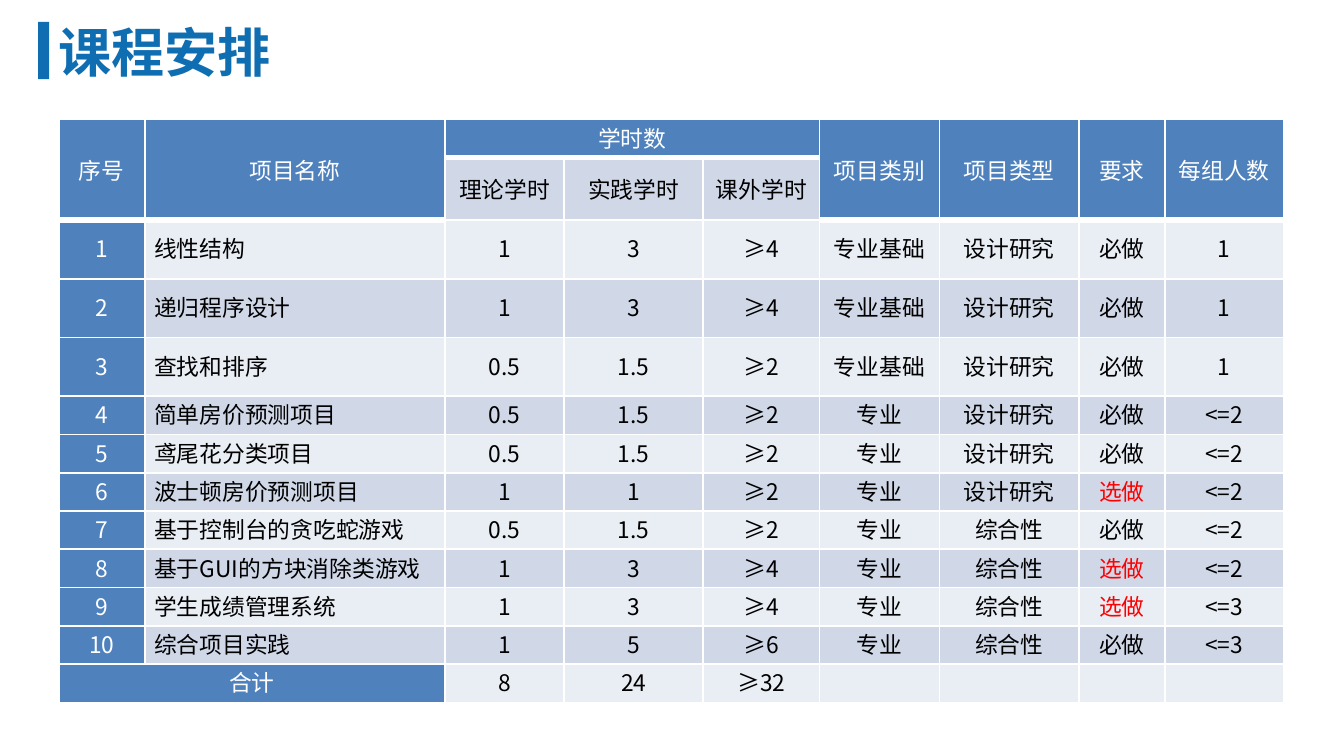
from typing import NamedTuple

import pptx
import pptx.dml.color
import pptx.enum.shapes
import pptx.enum.text
import pptx.oxml
import pptx.oxml.ns
import pptx.util
from pptx.util import Inches

FONT = "Noto Sans CJK SC"
COLORS = {
    "title": "0F6EB2",
    "header": "4F81BD",
    "dark_band": "D0D8E8",
    "light_band": "E9EDF4",
    "white": "FFFFFF",
    "black": "000000",
    "optional": "FF0000",
}
COLUMN_WIDTHS = [0.63, 2.2, 0.87, 1.02, 0.85, 0.88, 1.02, 0.63, 0.87]
ROW_HEIGHTS = [0.28, 0.46] + [0.43] * 3 + [0.28] * 8
HOURS_COLUMNS = range(2, 5)


class Project(NamedTuple):
    name: str
    theory: str
    practice: str
    extra: str
    category: str
    kind: str
    requirement: str
    group_size: str


class CellStyle(NamedTuple):
    fill: str
    color: str
    centered: bool = True
    fixed_line: bool = True
    bottom_border: float = 1


HEADER = CellStyle("header", "white", fixed_line=False, bottom_border=3)
SUBHEADER = CellStyle("dark_band", "black", fixed_line=False)
LABEL = CellStyle("header", "white")
TOTAL = CellStyle("light_band", "black")

PROJECTS = [
    Project("线性结构", "1", "3", "≥4", "专业基础", "设计研究", "必做", "1"),
    Project("递归程序设计", "1", "3", "≥4", "专业基础", "设计研究", "必做", "1"),
    Project("查找和排序", "0.5", "1.5", "≥2", "专业基础", "设计研究", "必做", "1"),
    Project("简单房价预测项目", "0.5", "1.5", "≥2", "专业", "设计研究", "必做", "<=2"),
    Project("鸢尾花分类项目", "0.5", "1.5", "≥2", "专业", "设计研究", "必做", "<=2"),
    Project("波士顿房价预测项目", "1", "1", "≥2", "专业", "设计研究", "选做", "<=2"),
    Project("基于控制台的贪吃蛇游戏", "0.5", "1.5", "≥2", "专业", "综合性", "必做", "<=2"),
    Project("基于GUI的方块消除类游戏", "1", "3", "≥4", "专业", "综合性", "选做", "<=2"),
    Project("学生成绩管理系统", "1", "3", "≥4", "专业", "综合性", "选做", "<=3"),
    Project("综合项目实践", "1", "5", "≥6", "专业", "综合性", "必做", "<=3"),
]


def rgb(name: str) -> pptx.dml.color.RGBColor:
    return pptx.dml.color.RGBColor.from_string(COLORS[name])


def set_font(paragraph, size: float, color: str, bold: bool = False) -> None:
    """Set the paragraph font for Latin and East Asian text."""
    font = paragraph.font
    font.name, font.size, font.bold = FONT, pptx.util.Pt(size), bold
    font.color.rgb = rgb(color)
    properties = paragraph._p.pPr.find(pptx.oxml.ns.qn("a:defRPr"))
    east_asian = pptx.oxml.parse_xml(
        f'<a:ea {pptx.oxml.ns.nsdecls("a")} typeface="{FONT}"/>')
    properties.find(pptx.oxml.ns.qn("a:latin")).addnext(east_asian)


def set_borders(cell, bottom: float) -> None:
    properties = cell._tc.get_or_add_tcPr()
    widths = {"lnL": 1, "lnR": 1, "lnT": 1, "lnB": bottom}
    for index, (side, width) in enumerate(widths.items()):
        properties.insert(index, pptx.oxml.parse_xml(
            f'<a:{side} {pptx.oxml.ns.nsdecls("a")} w="{pptx.util.Pt(width)}">'
            f'<a:solidFill><a:srgbClr val="{COLORS["white"]}"/></a:solidFill>'
            f'</a:{side}>'))


def fill_cell(cell, text: str, style: CellStyle) -> None:
    cell.margin_left = cell.margin_right = Inches(0.07)
    cell.margin_top = cell.margin_bottom = 0
    cell.vertical_anchor = pptx.enum.text.MSO_ANCHOR.MIDDLE
    cell.fill.solid()
    cell.fill.fore_color.rgb = rgb(style.fill)
    set_borders(cell, style.bottom_border)
    cell.text = text
    paragraph = cell.text_frame.paragraphs[0]
    if style.centered:
        paragraph.alignment = pptx.enum.text.PP_ALIGN.CENTER
    if style.fixed_line:
        paragraph.line_spacing = pptx.util.Pt(16)
    set_font(paragraph, 12, style.color)


def add_title(slide) -> None:
    box = slide.shapes.add_textbox(Inches(0.33), Inches(0.09), Inches(2.05), Inches(0.57))
    box.text_frame.word_wrap = True
    paragraph = box.text_frame.paragraphs[0]
    paragraph.text = "课程安排"
    set_font(paragraph, 28, "title", bold=True)

    bar = slide.shapes.add_shape(
        pptx.enum.shapes.MSO_SHAPE.RECTANGLE,
        Inches(0.28), Inches(0.16), Inches(0.08), Inches(0.42))
    bar.shadow.inherit = False
    bar.fill.solid()
    bar.fill.fore_color.rgb = rgb("title")
    bar.line.fill.background()


def fill_header(table) -> None:
    headings = ["序号", "项目名称", "学时数", "", "", "项目类别", "项目类型", "要求", "每组人数"]
    hours = ["理论学时", "实践学时", "课外学时"]
    for column, heading in enumerate(headings):
        fill_cell(table.cell(0, column), heading, HEADER)
        if column in HOURS_COLUMNS:
            fill_cell(table.cell(1, column), hours[column - HOURS_COLUMNS[0]], SUBHEADER)
        else:
            fill_cell(table.cell(1, column), "", HEADER)
            table.cell(0, column).merge(table.cell(1, column))
    table.cell(0, HOURS_COLUMNS[0]).merge(table.cell(0, HOURS_COLUMNS[-1]))


def fill_projects(table) -> None:
    for number, project in enumerate(PROJECTS, start=1):
        row = number + 1
        band = "light_band" if number % 2 else "dark_band"
        fill_cell(table.cell(row, 0), str(number), LABEL)
        for column, value in enumerate(project, start=1):
            color = "optional" if value == "选做" else "black"
            fill_cell(table.cell(row, column), value,
                      CellStyle(band, color, centered=column > 1))


def fill_totals(table) -> None:
    row = len(ROW_HEIGHTS) - 1
    for column, value in enumerate(["合计", "", "8", "24", "≥32", "", "", "", ""]):
        fill_cell(table.cell(row, column), value, LABEL if column < 2 else TOTAL)
    table.cell(row, 0).merge(table.cell(row, 1))


def add_schedule(slide) -> None:
    table = slide.shapes.add_table(
        len(ROW_HEIGHTS), len(COLUMN_WIDTHS), Inches(0.43), Inches(0.87),
        Inches(sum(COLUMN_WIDTHS)), Inches(sum(ROW_HEIGHTS))).table
    table.first_row = table.horz_banding = False
    for column, width in zip(table.columns, COLUMN_WIDTHS):
        column.width = Inches(width)
    for row, height in zip(table.rows, ROW_HEIGHTS):
        row.height = Inches(height)
    fill_header(table)
    fill_projects(table)
    fill_totals(table)


def main() -> None:
    presentation = pptx.Presentation()
    presentation.slide_width = Inches(9.84)
    presentation.slide_height = Inches(5.51)
    slide = presentation.slides.add_slide(presentation.slide_layouts[6])
    add_title(slide)
    add_schedule(slide)
    presentation.save("out.pptx")


if __name__ == "__main__":
    main()
